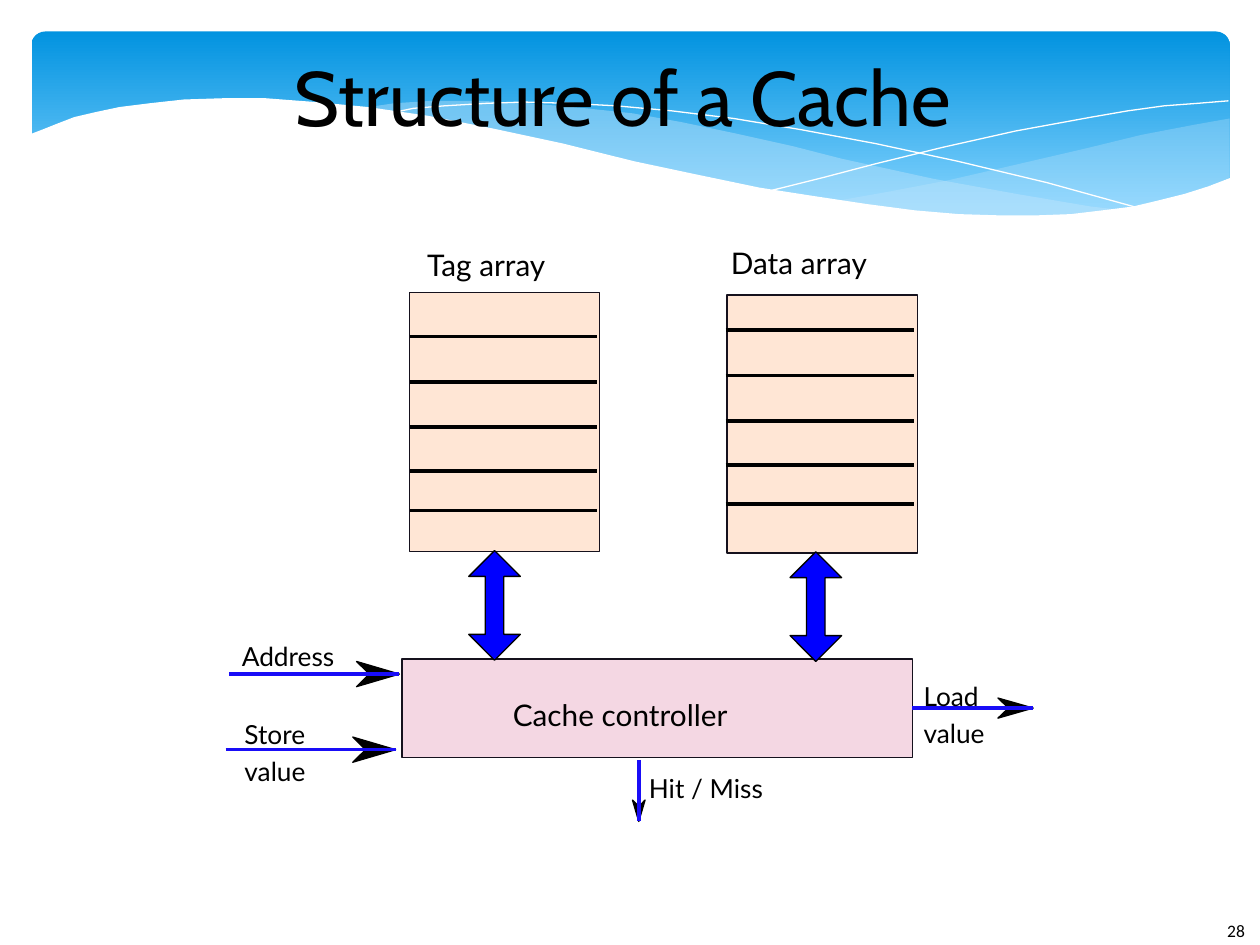
import pptx
import pptx.util
import pptx.dml.color
import pptx.enum.shapes
import pptx.enum.text
import pptx.oxml
import pptx.oxml.ns
import lxml.etree

Inches = pptx.util.Inches
RGBColor = pptx.dml.color.RGBColor
MSO_SHAPE = pptx.enum.shapes.MSO_SHAPE

BLACK = RGBColor(0x00, 0x00, 0x00)
WHITE = RGBColor(0xFF, 0xFF, 0xFF)
BANNER_TOP = RGBColor(0x02, 0x93, 0xE0)
BANNER_BOTTOM = RGBColor(0x83, 0xD3, 0xFE)
WAVE = RGBColor(0xC6, 0xE7, 0xFC)
ARRAY_FILL = RGBColor(0xFF, 0xE6, 0xD5)
CONTROLLER_FILL = RGBColor(0xF4, 0xD7, 0xE3)
BOX_LINE = RGBColor(0x15, 0x11, 0x1D)
ARROW_BLUE = RGBColor(0x00, 0x00, 0xFF)
SIGNAL_BLUE = RGBColor(0x19, 0x0D, 0xF7)


def paint(shape, fill=None, line=None, opacity=100):
    shape.shadow.inherit = False
    if fill is None:
        shape.fill.background()
    else:
        shape.fill.solid()
        shape.fill.fore_color.rgb = fill
        if opacity < 100:
            color = shape.fill._xPr.find(".//" + pptx.oxml.ns.qn("a:srgbClr"))
            alpha = lxml.etree.SubElement(color, pptx.oxml.ns.qn("a:alpha"))
            alpha.set("val", str(opacity * 1000))
    if line is None:
        shape.line.fill.background()
    else:
        shape.line.color.rgb = line
        shape.line.width = pptx.util.Pt(0)


def draw_line(start, end, color):
    connector = slide.shapes.add_connector(
        pptx.enum.shapes.MSO_CONNECTOR.STRAIGHT,
        *[Inches(value) for value in start + end])
    connector.line.color.rgb = color
    connector.line.width = pptx.util.Pt(0)
    lxml.etree.SubElement(connector._element.spPr, pptx.oxml.ns.qn("a:effectLst"))
    return connector


presentation = pptx.Presentation()
presentation.slide_width = Inches(10)
presentation.slide_height = Inches(7.5)
slide = presentation.slides.add_slide(presentation.slide_layouts[5])

banner = slide.shapes.add_shape(
    MSO_SHAPE.ROUNDED_RECTANGLE, Inches(0.25), Inches(0.25), Inches(9.51), Inches(1.56))
banner.adjustments[0] = 0.07
paint(banner)
banner.fill.gradient()
banner.fill.gradient_angle = 270
for stop, position, color in zip(
        banner.fill.gradient_stops, (0, 0.9), (BANNER_TOP, BANNER_BOTTOM)):
    stop.position = position
    stop.color.rgb = color

right_wave = [
    (9.76, 0.94), (9.48, 0.99), (9.06, 1.07), (8.61, 1.18), (8.05, 1.31), (7.53, 1.43),
    (7.06, 1.52), (6.61, 1.6), (6.91, 1.64), (7.32, 1.68), (7.69, 1.71), (8.03, 1.72),
    (8.35, 1.72), (8.63, 1.7), (8.89, 1.66), (9.21, 1.6), (9.49, 1.52), (9.76, 1.41)]
middle_wave = [
    (8.93, 1.67), (8.66, 1.64), (8.07, 1.54), (7.41, 1.42), (6.68, 1.26), (6.29, 1.16),
    (5.84, 1.06), (5.41, 0.97), (5.02, 0.9), (4.65, 0.86), (4.2, 0.82), (3.8, 0.8),
    (3.44, 0.8), (3.13, 0.82), (2.86, 0.86), (3.23, 0.9), (3.62, 0.97), (4.04, 1.06),
    (4.49, 1.16), (5.3, 1.35), (5.84, 1.46), (6.34, 1.56), (6.8, 1.63), (7.22, 1.68),
    (7.61, 1.71), (7.96, 1.73), (8.28, 1.73), (8.57, 1.71)]
falling_curve = [
    (3.09, 0.9), (3.28, 0.86), (3.53, 0.84), (3.87, 0.82), (4.16, 0.81), (4.5, 0.82),
    (4.89, 0.84), (5.33, 0.88), (5.82, 0.94), (6.36, 1.03), (6.95, 1.14), (7.6, 1.28),
    (8.31, 1.45), (9.07, 1.66)]
rising_curve = [
    (6.13, 1.51), (6.53, 1.41), (6.95, 1.3), (7.48, 1.17), (8.06, 1.04), (8.66, 0.93),
    (8.95, 0.88), (9.24, 0.84), (9.51, 0.82), (9.75, 0.8)]
white_wave = [
    (9.77, 1.41), (9.59, 1.48), (9.4, 1.54), (9.2, 1.59), (8.99, 1.64), (8.75, 1.67),
    (8.5, 1.7), (8.23, 1.71), (7.93, 1.71), (7.61, 1.7), (7.26, 1.67), (6.88, 1.62),
    (6.48, 1.56), (6.03, 1.49), (5.55, 1.39), (5.03, 1.28), (4.47, 1.14), (3.91, 1.02),
    (3.4, 0.92), (2.92, 0.85), (2.5, 0.81), (2.11, 0.78), (1.77, 0.78), (1.46, 0.79),
    (1.19, 0.82), (0.95, 0.85), (0.76, 0.89), (0.59, 0.93), (0.46, 0.98), (0.36, 1.02),
    (0.23, 1.07), (0.23, 2.24), (9.77, 2.24)]

outlines = [
    (right_wave, True, {"fill": WAVE, "opacity": 29}),
    (middle_wave, True, {"fill": WAVE, "opacity": 40}),
    (falling_curve, False, {"line": WHITE}),
    (rising_curve, False, {"line": WHITE}),
    (white_wave, True, {"fill": WHITE}),
]

signals = [
    ((1.82, 5.35), (3.17, 5.35), 0.34, 0.1),
    ((1.79, 5.95), (3.14, 5.95), 0.34, 0.1),
    ((7.24, 5.62), (8.2, 5.62), 0.28, 0.08),
    ((5.07, 6.03), (5.07, 6.52), 0.17, 0.05),
]
for start, (tip_x, tip_y), length, half in signals:
    notch = length * 0.7
    if start[1] == tip_y:
        head = [(tip_x - notch, tip_y), (tip_x - length, tip_y + half),
                (tip_x, tip_y), (tip_x - length, tip_y - half)]
    else:
        head = [(tip_x, tip_y - notch), (tip_x - half, tip_y - length),
                (tip_x, tip_y), (tip_x + half, tip_y - length)]
    outlines.append((head, True, {"fill": BLACK, "line": BLACK}))

for points, closed, style in outlines:
    corners = [(Inches(x), Inches(y)) for x, y in points]
    builder = slide.shapes.build_freeform(*corners[0])
    builder.add_line_segments(corners[1:], close=closed)
    paint(builder.convert_to_shape(), **style)

title = slide.shapes.title
slide.shapes._spTree.append(title._element)
for name, value in {"left": 0.89, "top": 0.25, "width": 8.11, "height": 1.02}.items():
    setattr(title, name, Inches(value))

boxes = [
    (MSO_SHAPE.RECTANGLE, 3.25, 2.32, 1.51, 2.06, ARRAY_FILL, BOX_LINE),
    (MSO_SHAPE.RECTANGLE, 5.77, 2.34, 1.51, 2.05, ARRAY_FILL, BOX_LINE),
    (MSO_SHAPE.RECTANGLE, 3.19, 5.23, 4.05, 0.78, CONTROLLER_FILL, BOX_LINE),
    (MSO_SHAPE.UP_DOWN_ARROW, 3.72, 4.37, 0.41, 0.87, ARROW_BLUE, BLACK),
    (MSO_SHAPE.UP_DOWN_ARROW, 6.27, 4.38, 0.41, 0.87, ARROW_BLUE, BLACK),
]
for kind, left, top, width, height, fill, line in boxes:
    shape = slide.shapes.add_shape(
        kind, Inches(left), Inches(top), Inches(width), Inches(height))
    paint(shape, fill, line)
    if kind == MSO_SHAPE.UP_DOWN_ARROW:
        shape.adjustments[0] = 0.46
        shape.adjustments[1] = 0.36
    elif fill == CONTROLLER_FILL:
        controller = shape

for left, first_row in ((3.25, 2.67), (5.76, 2.62)):
    for offset in (0, 0.36, 0.72, 1.07, 1.38):
        row = first_row + offset
        draw_line((left, row), (left + 1.49, row), BLACK)

for start, tip, length, half in signals:
    signal = draw_line(start, tip, SIGNAL_BLUE)
    if start == (7.24, 5.62):
        signal.begin_connect(controller, 3)

text_frames = [(title.text_frame, "Structure of a Cache", "Cabin", 44)]
labels = [
    ("Tag array", 3.39, 1.96, 1.11, 0.32, 17),
    ("Data array", 5.8, 1.94, 1.2, 0.32, 17),
    ("Cache controller", 4.07, 5.53, 1.83, 0.32, 17),
    ("Address", 1.92, 5.08, 0.86, 0.28, 15),
    ("Store", 1.94, 5.7, 0.59, 0.28, 15),
    ("value", 1.94, 5.99, 0.59, 0.28, 15),
    ("Load", 7.33, 5.4, 0.56, 0.28, 15),
    ("value", 7.33, 5.69, 0.59, 0.28, 15),
    ("Hit / Miss", 5.15, 6.13, 0.95, 0.28, 15),
    ("28", 9.74, 7.3, 0.2, 0.2, 10),
]
for text, left, top, width, height, size in labels:
    label = slide.shapes.add_textbox(
        Inches(left), Inches(top), Inches(width), Inches(height))
    text_frames.append((label.text_frame, text, "Calibri" if text == "28" else "Lato", size))

for text_frame, text, font_name, size in text_frames:
    is_title = font_name == "Cabin"
    frame_format = {
        "margin_left": 0, "margin_top": 0, "margin_right": 0, "margin_bottom": 0,
        "word_wrap": is_title,
        "auto_size": pptx.enum.text.MSO_AUTO_SIZE.NONE if is_title
        else pptx.enum.text.MSO_AUTO_SIZE.SHAPE_TO_FIT_TEXT,
        "vertical_anchor": pptx.enum.text.MSO_ANCHOR.MIDDLE if is_title
        else pptx.enum.text.MSO_ANCHOR.TOP,
    }
    for name, value in frame_format.items():
        setattr(text_frame, name, value)
    paragraph = text_frame.paragraphs[0]
    paragraph.alignment = (pptx.enum.text.PP_ALIGN.CENTER if is_title
                           else pptx.enum.text.PP_ALIGN.LEFT)
    run = paragraph.add_run()
    run.text = text
    for name, value in {"name": font_name, "size": pptx.util.Pt(size)}.items():
        setattr(run.font, name, value)
    run.font.color.rgb = BLACK

presentation.save("out.pptx")
